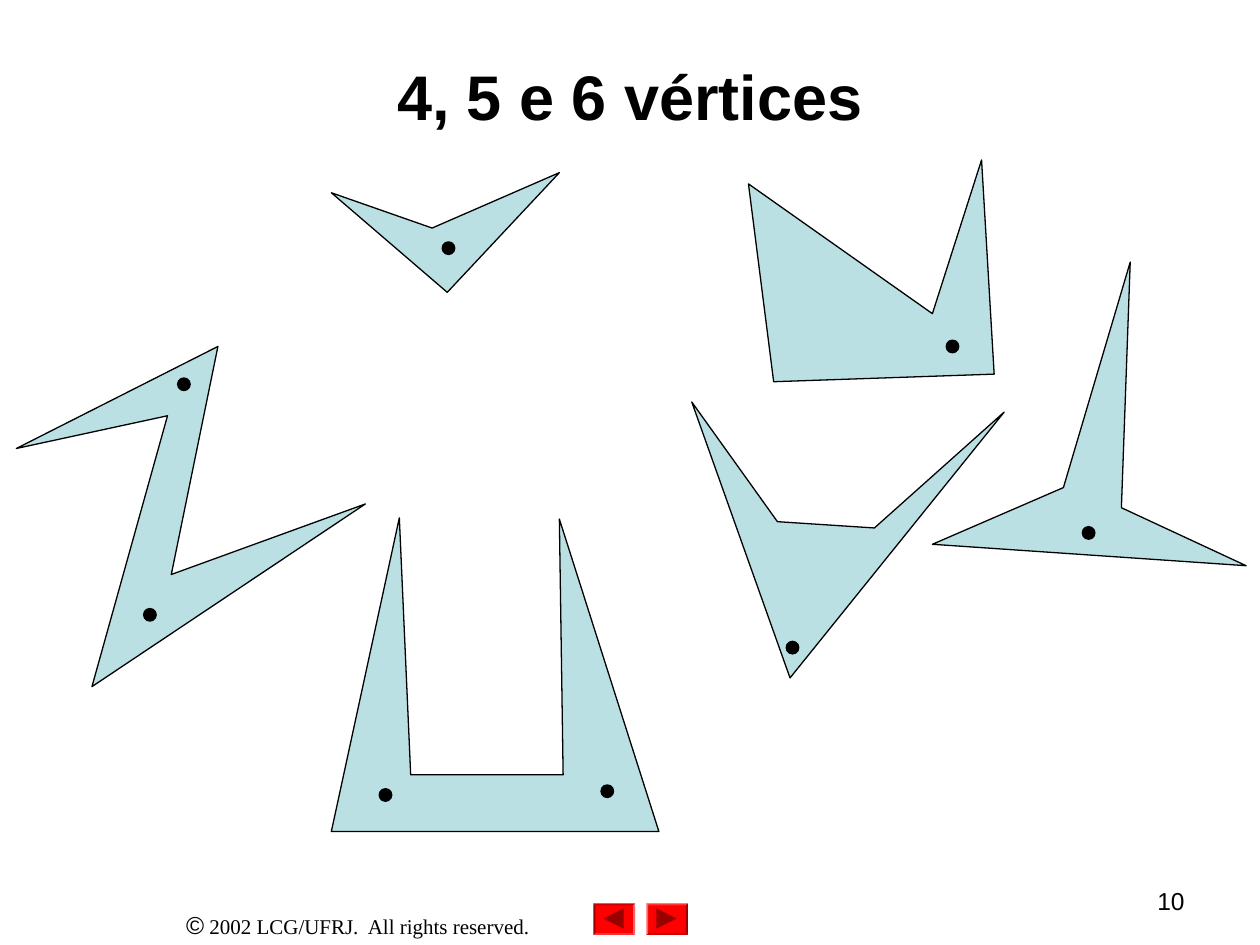
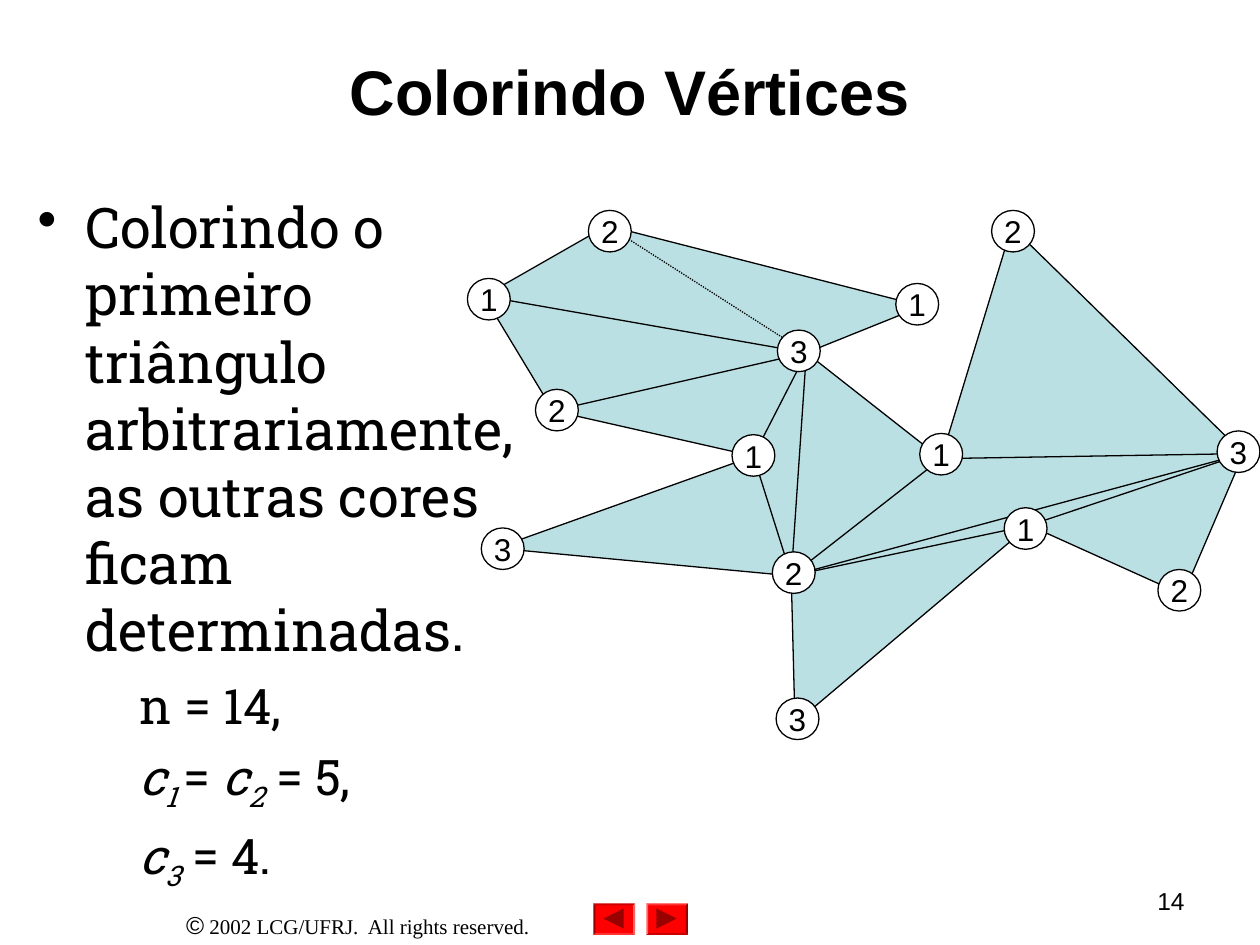
from dataclasses import dataclass

from lxml.etree import SubElement
from pptx import Presentation
from pptx.dml.color import RGBColor
from pptx.enum.dml import MSO_LINE
from pptx.enum.shapes import MSO_CONNECTOR, MSO_SHAPE
from pptx.enum.text import MSO_ANCHOR, PP_ALIGN
from pptx.oxml.ns import qn
from pptx.util import Pt

PX = 9144  # EMU per px: 100 px to the inch


@dataclass(frozen=True)
class Theme:
    ink: RGBColor = RGBColor(0, 0, 0)
    paper: RGBColor = RGBColor(255, 255, 255)
    polygon: RGBColor = RGBColor(0xBB, 0xE0, 0xE3)
    button: RGBColor = RGBColor(255, 0, 0)
    arrow: RGBColor = RGBColor(0x99, 0, 0)
    sans: str = "Arial"
    slab: str = "Roboto Slab"
    serif: str = "Times New Roman"
    title: int = 36
    body: int = 32
    detail: int = 28
    label: int = 18
    small: int = 14
    legal: int = 12
    outline: float = 0.75


def apply(target, values):
    for name, value in values.items():
        setattr(target, name, value)


class SlideBuilder:
    """Holds the theme and the current page."""

    def __init__(self, deck, theme):
        self.deck, self.theme, self.page = deck, theme, None

    def new_page(self, title, title_box, number):
        theme = self.theme
        self.page = self.deck.slides.add_slide(self.deck.slide_layouts[6])
        self.footer(number)
        frame = self.text_box(*title_box)
        frame.vertical_anchor = MSO_ANCHOR.MIDDLE
        self.para(frame, [(title, {"bold": True})], theme.title)

    def footer(self, number):
        theme = self.theme
        self.para(self.text_box(88, 717, 392, 34), [
            ("©", {}),
            (" 2002 LCG/UFRJ.  All rights reserved.",
             {"name": theme.serif, "size": Pt(theme.legal)})], theme.small)
        self.nav_button(471, 180)
        self.nav_button(513, 0)
        self.para(self.text_box(841, 698, 109, 52), [(str(number), {})],
                  theme.small, alignment=PP_ALIGN.RIGHT)

    def nav_button(self, left, rotation):
        bevel = self.shape(MSO_SHAPE.BEVEL, left, 717, 33, 25,
                           self.theme.button, outlined=False)
        bevel.adjustments[0] = 0.06
        bevel.rotation = rotation
        arrow = self.shape(MSO_SHAPE.ISOSCELES_TRIANGLE, left + 8, 721, 16, 16,
                           self.theme.arrow, outlined=False)
        arrow.rotation = rotation + 90

    # Text
    def text_box(self, *bounds):
        box = self.page.shapes.add_textbox(*(n * PX for n in bounds))
        box.text_frame.word_wrap = True
        return box.text_frame

    def para(self, frame, spans, size, font=None, **layout):
        """Fill the empty first paragraph, or add one after it."""
        first = frame.paragraphs[0]
        para = frame.add_paragraph() if first.runs else first
        apply(para, {"alignment": PP_ALIGN.CENTER, **layout})
        for text, values in spans:
            span = para.add_run()
            span.text = text
            values = dict(values)
            baseline = values.pop("baseline", None)
            apply(span.font, {"name": font or self.theme.sans,
                              "size": Pt(size), **values})
            span.font.color.rgb = self.theme.ink
            if baseline:
                span.font._element.set("baseline", str(baseline))
        return para

    def indent(self, para, margin, first, bullet=None):
        props = para._p.get_or_add_pPr()
        props.set("marL", str(margin * PX))
        props.set("indent", str(first * PX))
        if bullet:
            SubElement(props, qn("a:buChar")).set("char", bullet)

    # Shapes and lines
    def paint(self, shape, fill, outlined=True):
        shape.shadow.inherit = False
        shape.fill.solid()
        shape.fill.fore_color.rgb = fill
        if outlined:
            self.stroke(shape.line)
        else:
            shape.line.fill.background()

    def stroke(self, line):
        line.color.rgb = self.theme.ink
        line.width = Pt(self.theme.outline)

    def shape(self, kind, left, top, width, height, fill, outlined=True):
        shape = self.page.shapes.add_shape(
            kind, left * PX, top * PX, width * PX, height * PX)
        self.paint(shape, fill, outlined)
        return shape

    def polygon(self, points):
        outline = self.page.shapes.build_freeform(*points[0], scale=PX)
        outline.add_line_segments(points[1:], close=True)
        self.paint(outline.convert_to_shape(), self.theme.polygon)

    def guard(self, left, top):
        self.shape(MSO_SHAPE.OVAL, left, top, 10, 10, self.theme.ink)

    def diagonal(self, start, end, dotted):
        line = self.page.shapes.add_connector(
            MSO_CONNECTOR.STRAIGHT, *(n * PX for n in start + end))
        self.stroke(line.line)
        if dotted:
            line.line.dash_style = MSO_LINE.ROUND_DOT
        SubElement(line._element.spPr, qn("a:effectLst"))

    def vertex(self, label, left, top):
        disc = self.shape(MSO_SHAPE.OVAL, left, top, 34, 33, self.theme.paper)
        frame = disc.text_frame
        apply(frame, {"word_wrap": False, "vertical_anchor": MSO_ANCHOR.MIDDLE})
        self.para(frame, [(label, {})], self.theme.label)


# Each gallery: polygon corners, then the guards that watch it
GALLERIES = [
    ([(263, 153), (355, 232), (444, 137), (343, 181)], [(351, 192)]),
    ([(897, 208), (844, 387), (740, 432), (989, 449), (890, 403)],
     [(859, 418)]),
    ([(549, 319), (617, 414), (694, 419), (797, 327), (627, 538)],
     [(624, 509)]),
    ([(594, 146), (740, 249), (779, 127), (789, 297), (614, 303)],
     [(751, 270)]),
    ([(13, 356), (173, 275), (136, 456), (290, 400), (73, 545), (133, 330)],
     [(141, 300), (114, 483)]),
    ([(317, 411), (263, 660), (523, 660), (444, 412), (447, 615), (326, 615)],
     [(301, 626), (477, 623)]),
]

# Corner, colour label and top left of its disc, in order around the polygon
VERTICES = [
    ((732, 243), "1", (711, 225)), ((482, 179), "2", (467, 167)),
    ((384, 235), "1", (371, 221)), ((439, 326), "2", (425, 309)),
    ((598, 362), "1", (581, 345)), ((394, 435), "3", (382, 419)),
    ((628, 457), "2", (613, 438)), ((631, 574), "3", (616, 554)),
    ((817, 417), "1", (797, 403)), ((939, 472), "2", (919, 452)),
    ((987, 360), "3", (966, 342)), ((803, 180), "2", (787, 167)),
    ((747, 364), "1", (730, 344)), ((640, 280), "3", (617, 262)),
]
# Pairs of vertex indices; the first diagonal is dotted
DIAGONALS = [(1, 13), (2, 13), (3, 13), (4, 13), (4, 6), (8, 10),
             (10, 12), (6, 12), (6, 13), (6, 8), (6, 10)]


def galleries_page(builder):
    builder.new_page("4, 5 e 6 vértices", (50, 30, 900, 91), 10)
    for corners, guards in GALLERIES:
        builder.polygon(corners)
        for guard in guards:
            builder.guard(*guard)


def colouring_page(builder):
    theme = builder.theme
    builder.new_page("Colorindo Vértices", (50, 39, 900, 66), 14)

    # Explanation and colour counts
    frame = builder.text_box(20, 148, 418, 565)
    para = builder.para(frame, [
        ("Colorindo o primeiro triângulo arbitrariamente, "
         "as outras cores ficam determinadas.", {})],
        theme.body, theme.slab, alignment=PP_ALIGN.LEFT, space_before=Pt(8))
    builder.indent(para, 38, -38, "•")
    italic = {"italic": True}
    sub = {"italic": True, "baseline": -25000}
    counts = [
        [("n = 14,", {})],
        [("c", italic), ("1 ", sub), ("= ", {}), ("c", italic), ("2", sub),
         (" = 5,", {})],
        [("c", italic), ("3", sub), (" = 4.", {})],
    ]
    for spans in counts:
        para = builder.para(frame, spans, theme.detail, theme.slab, level=1,
                            alignment=PP_ALIGN.LEFT, space_before=Pt(7))
        builder.indent(para, 81, 0)

    # Triangulated polygon
    corners = [corner for corner, _, _ in VERTICES]
    builder.polygon(corners)
    for index, (start, end) in enumerate(DIAGONALS):
        builder.diagonal(corners[start], corners[end], dotted=index == 0)
    for _, label, position in VERTICES:
        builder.vertex(label, *position)


def main():
    deck = Presentation()
    apply(deck, {"slide_width": 1000 * PX, "slide_height": 750 * PX})
    builder = SlideBuilder(deck, Theme())
    galleries_page(builder)
    colouring_page(builder)
    deck.save("out.pptx")


if __name__ == "__main__":
    main()
